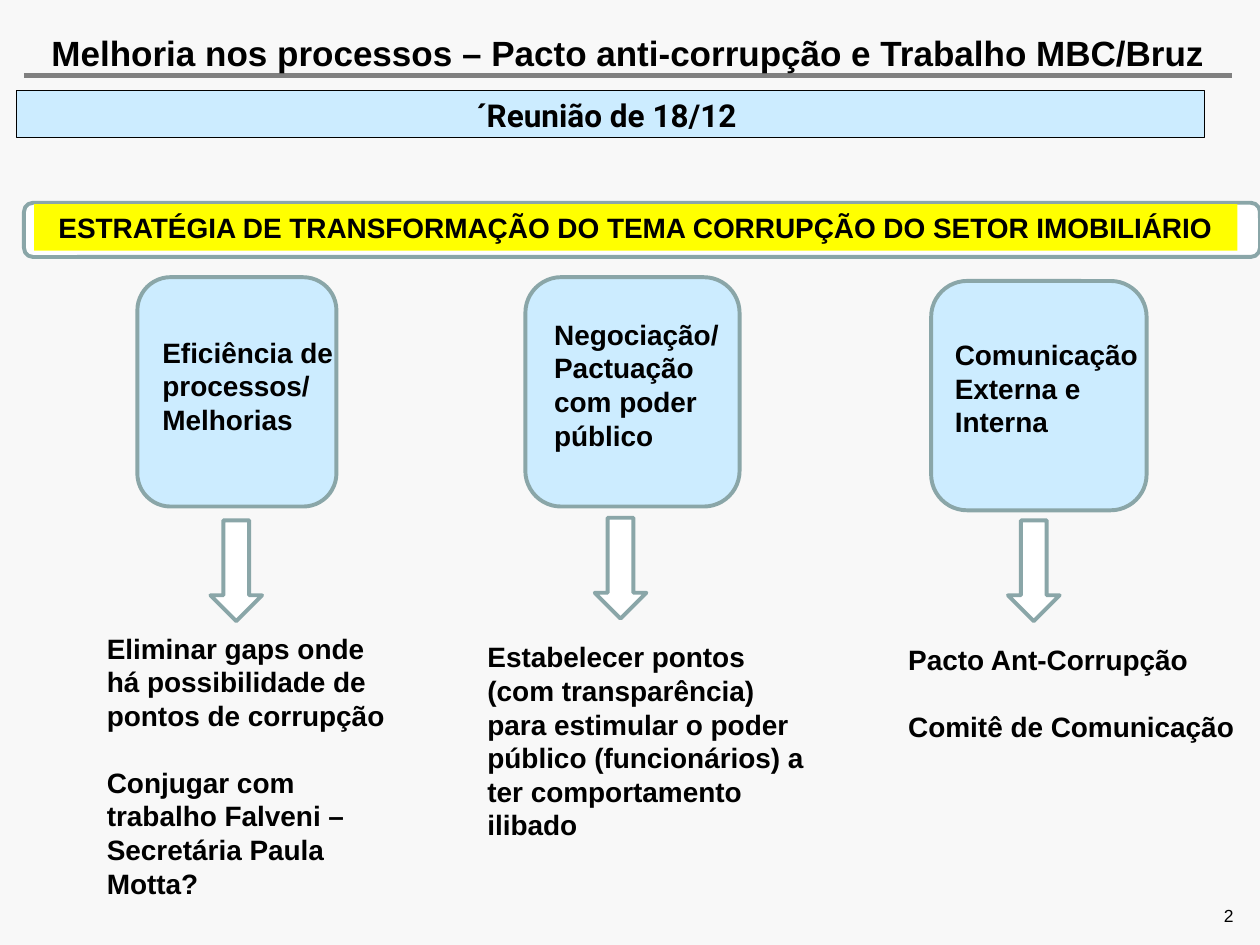
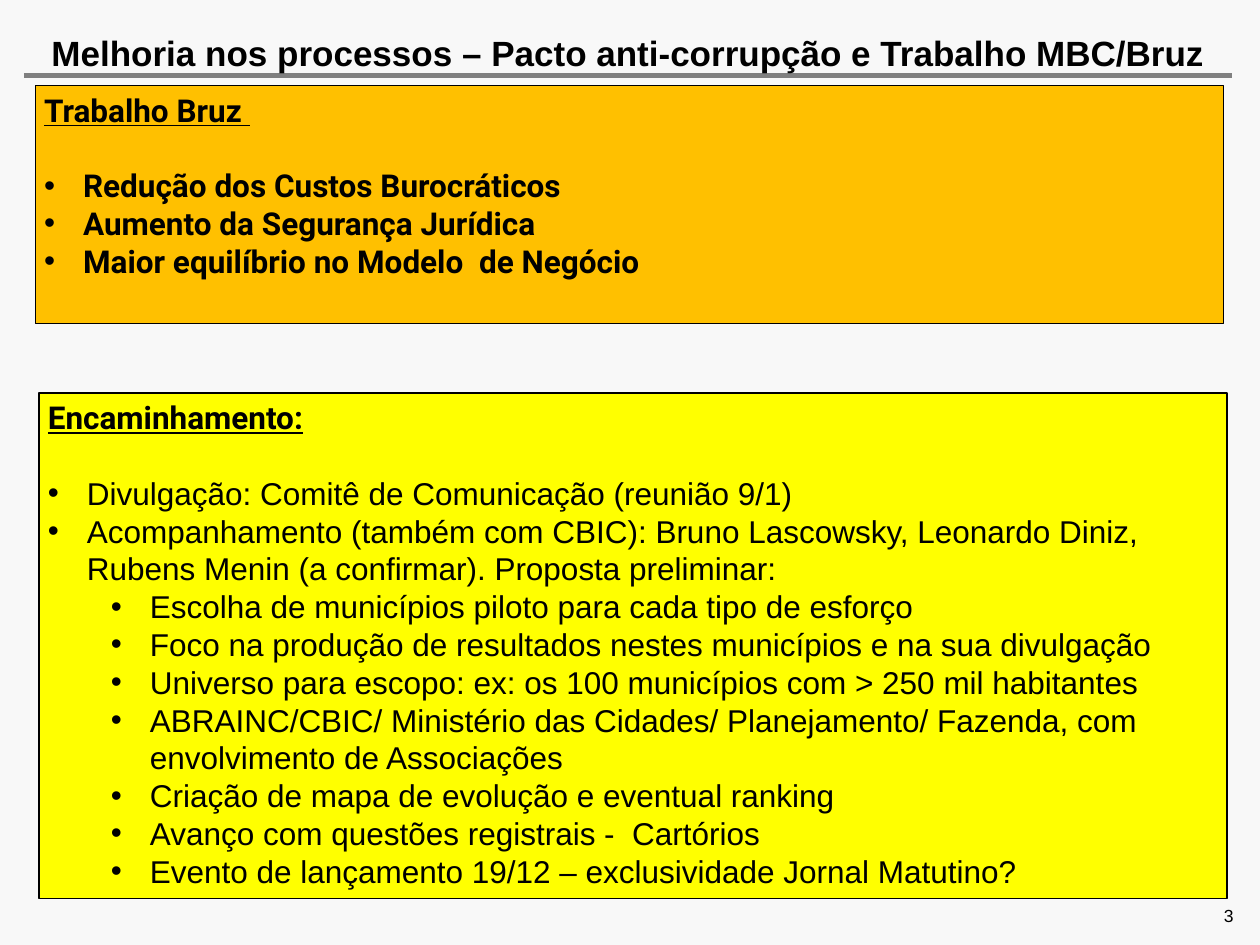
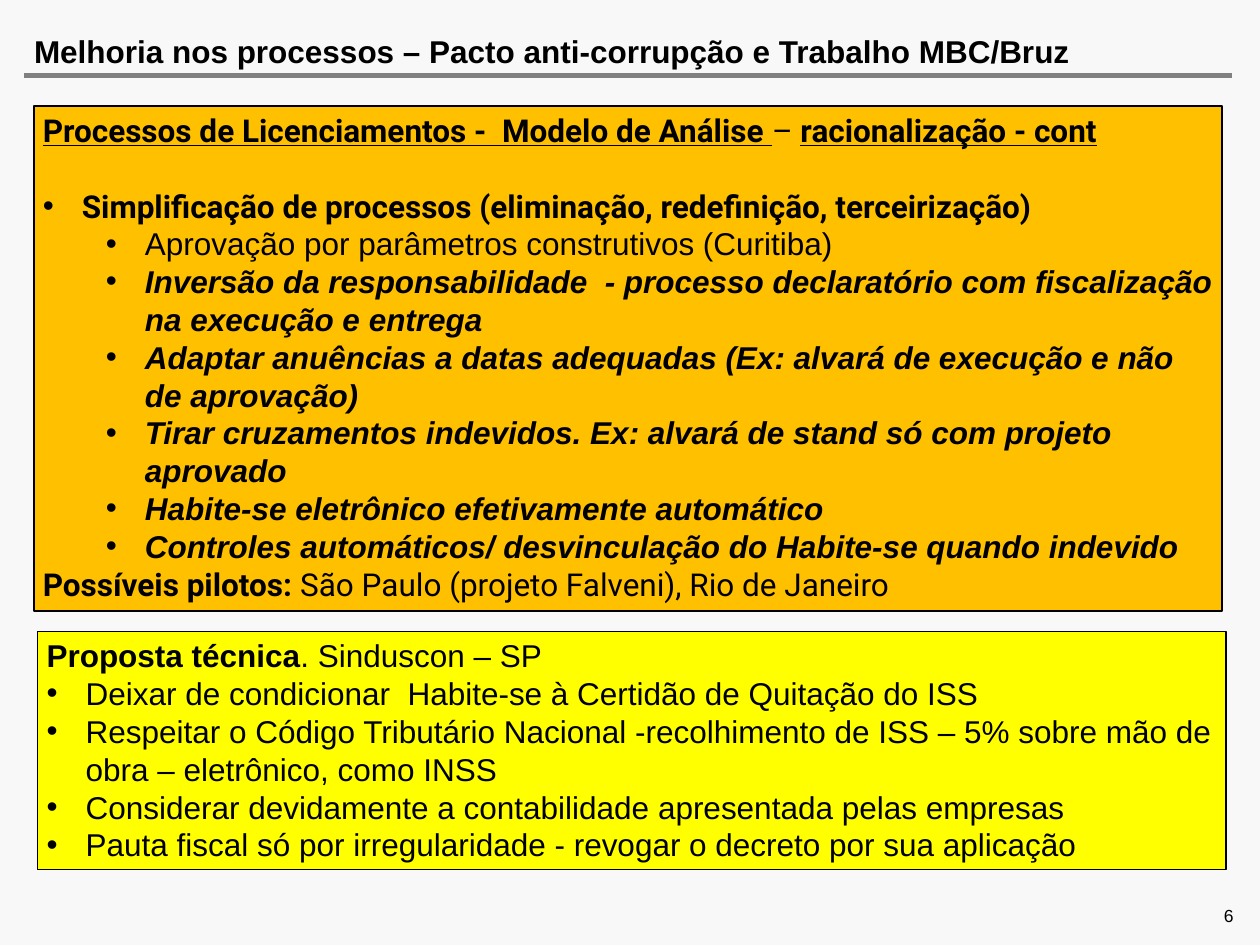
from dataclasses import dataclass

from lxml import etree
from pptx import Presentation
from pptx import util as u
from pptx.dml import color
from pptx.enum import shapes, text
from pptx.oxml import ns

COLORS = {
    "page": "F8F8F8", "ink": "000000", "rule": "808080", "edge": "8AA6A8",
    "white": "FFFFFF", "sky": "CCECFF", "yellow": "FFFF00", "orange": "FFC000",
}
SHAPE = shapes.MSO_SHAPE
ALIGN = text.PP_ALIGN
TITLE = "Melhoria nos processos – Pacto anti-corrupção e Trabalho MBC/Bruz "
PANEL_WIDTH = 9.43
PANEL_INSETS = (0.07, 0.04)
TEXT_INSETS = (0.1, 0.05)
BULLET_HANG = 0.31
LEVEL_STEP = 0.5


@dataclass(frozen=True)
class Span:
    text: str
    bold: bool = False
    italic: bool = False
    underline: bool = False
    name: str = "Arial"


@dataclass(frozen=True)
class Para:
    spans: tuple[Span, ...]
    level: int = 0
    gap: float = 0


@dataclass(frozen=True)
class Style:
    size: float
    align: ALIGN = ALIGN.LEFT
    anchor: text.MSO_ANCHOR = text.MSO_ANCHOR.TOP
    insets: tuple[float, float] = (0, 0)


@dataclass(frozen=True)
class Frame:
    left: float
    top: float
    width: float
    height: float

    def lengths(self) -> tuple[u.Length, ...]:
        return tuple(u.Inches(v) for v in (self.left, self.top, self.width, self.height))


@dataclass(frozen=True)
class Pillar:
    card: Frame
    label: Frame
    heading: str
    arrow: tuple[float, float]
    detail: Frame
    actions: tuple[str, ...]


@dataclass(frozen=True)
class Panel:
    left: float
    top: float
    height: float
    fill: str
    paras: tuple[Para, ...]


LABEL = Style(16, insets=TEXT_INSETS)
PANEL = Style(18, insets=PANEL_INSETS)
BANNER = Style(18, ALIGN.CENTER, insets=PANEL_INSETS)
STRIP = Style(16, ALIGN.CENTER, insets=TEXT_INSETS)
NUMBER = Style(10, ALIGN.RIGHT, text.MSO_ANCHOR.BOTTOM)


def rgb(key: str) -> color.RGBColor:
    return color.RGBColor.from_string(COLORS[key])


def plain(words: str, level: int = 0, gap: float = 0, **formats) -> Para:
    return Para((Span(words, **formats),), level, gap)


def heading(words: str) -> Para:
    return plain(words, bold=True, underline=True, name="Roboto")


def bullets(level: int, *lines: str, gap: float = 0, **formats) -> tuple[Para, ...]:
    return tuple(plain(line, level, 0 if i else gap, **formats) for i, line in enumerate(lines))


def write(box, paras: tuple[Para, ...], style: Style) -> None:
    frame = box.text_frame
    across, down = (u.Inches(v) for v in style.insets)
    layout = {
        "word_wrap": True, "vertical_anchor": style.anchor,
        "margin_left": across, "margin_right": across,
        "margin_top": down, "margin_bottom": down,
    }
    for key, value in layout.items():
        setattr(frame, key, value)
    for i, item in enumerate(paras):
        para = frame.add_paragraph() if i else frame.paragraphs[0]
        para.alignment = style.align
        if item.level:
            props = para._p.get_or_add_pPr()
            indent = BULLET_HANG + LEVEL_STEP * (item.level - 1)
            props.set("marL", str(u.Inches(indent)))
            props.set("indent", str(-u.Inches(BULLET_HANG)))
            etree.SubElement(props, ns.qn("a:buFont")).set("typeface", "Arial")
            etree.SubElement(props, ns.qn("a:buChar")).set("char", "•")
        if item.gap:
            para.space_before = u.Pt(item.gap)
        for part in item.spans:
            span = para.add_run()
            span.text = part.text
            span.font.size = u.Pt(style.size)
            span.font.color.rgb = rgb("ink")
            for key in ("name", "bold", "italic", "underline"):
                setattr(span.font, key, getattr(part, key))


def add_text(page, frame: Frame, paras: tuple[Para, ...], style: Style) -> None:
    write(page.shapes.add_textbox(*frame.lengths()), paras, style)


def add_box(page, kind: SHAPE, frame: Frame, fill: str, line: str = "", weight: float = 2.25):
    box = page.shapes.add_shape(kind, *frame.lengths())
    box.shadow.inherit = False
    box.fill.solid()
    box.fill.fore_color.rgb = rgb(fill)
    if line:
        box.line.color.rgb = rgb(line)
        box.line.width = u.Pt(weight)
    else:
        box.line.fill.background()
    return box


def add_panel(page, panel: Panel, style: Style = PANEL) -> None:
    frame = Frame(panel.left, panel.top, PANEL_WIDTH, panel.height)
    write(add_box(page, SHAPE.RECTANGLE, frame, panel.fill, "ink", 0.75), panel.paras, style)


def add_page(deck, number: int, title_style: Style):
    page = deck.slides.add_slide(deck.slide_layouts[6])
    page.background.fill.solid()
    page.background.fill.fore_color.rgb = rgb("page")
    ends = (u.Inches(v) for v in (0.19, 0.6, 9.78, 0.6))
    rule = page.shapes.add_connector(shapes.MSO_CONNECTOR.STRAIGHT, *ends)
    rule.line.color.rgb = rgb("rule")
    rule.line.width = u.Pt(3.2)
    etree.SubElement(rule._element.spPr, ns.qn("a:effectLst"))
    add_text(page, Frame(0.27, 0.25, 9.51, 0.35), (plain(TITLE, bold=True),), title_style)
    add_text(page, Frame(7.45, 7.18, 2.34, 0.17), (plain(str(number)),), NUMBER)
    return page


PILLARS = (
    Pillar(Frame(1.09, 2.2, 1.58, 1.82), Frame(1.19, 2.61, 1.62, 0.91),
           "Eficiência de processos/ Melhorias", (1.67, 4.13), Frame(0.75, 4.96, 2.56, 2.26),
           ("Eliminar gaps onde há possibilidade de pontos de corrupção",
            "Conjugar com trabalho Falveni – Secretária Paula Motta?")),
    Pillar(Frame(4.17, 2.2, 1.7, 1.82), Frame(4.3, 2.47, 1.57, 1.18),
           "Negociação/ Pactuação com poder público", (4.72, 4.11), Frame(3.77, 5.03, 2.79, 1.72),
           ("Estabelecer pontos (com transparência) para estimular o poder público "
            "(funcionários) a ter comportamento ilibado",)),
    Pillar(Frame(7.39, 2.23, 1.71, 1.82), Frame(7.48, 2.63, 1.67, 0.91),
           "Comunicação Externa e Interna", (8, 4.13), Frame(7.11, 5.05, 2.79, 0.91),
           ("Pacto Ant-Corrupção", "Comitê de Comunicação")),
)

BOOST_PANELS = (
    Panel(0.28, 0.68, 1.89, "orange", (
        heading("Trabalho Bruz "),
        *bullets(1, "Redução dos Custos Burocráticos",
                 "Aumento da Segurança Jurídica",
                 "Maior equilíbrio no Modelo  de Negócio",
                 gap=21.6, bold=True, name="Roboto"),
    )),
    Panel(0.31, 3.12, 4.01, "yellow", (
        heading("Encaminhamento:"),
        *bullets(1, "Divulgação: Comitê de Comunicação (reunião 9/1)",
                 "Acompanhamento (também com CBIC): Bruno Lascowsky, Leonardo Diniz, "
                 "Rubens Menin (a confirmar). Proposta preliminar:", gap=21.6),
        *bullets(2, "Escolha de municípios piloto para cada tipo de esforço",
                 "Foco na produção de resultados nestes municípios e na sua divulgação",
                 "Universo para escopo: ex: os 100 municípios com > 250 mil habitantes",
                 "ABRAINC/CBIC/ Ministério das Cidades/ Planejamento/ Fazenda, "
                 "com envolvimento de Associações",
                 "Criação de mapa de evolução e eventual ranking",
                 "Avanço com questões registrais -  Cartórios",
                 "Evento de lançamento 19/12 – exclusividade Jornal Matutino?"),
    )),
)

LICENSING_PANELS = (
    Panel(0.27, 0.84, 4.01, "orange", (
        Para((Span("Processos de Licenciamentos -  Modelo de Análise ", True, False, True, "Roboto"),
              Span("– ", name="Roboto"),
              Span("racionalização - cont", True, False, True, "Roboto"))),
        plain("Simplificação de processos (eliminação, redefinição, terceirização)",
              1, 21.6, bold=True, name="Roboto"),
        plain("Aprovação por parâmetros construtivos (Curitiba)", 2),
        *bullets(2, "Inversão da responsabilidade  - processo declaratório com fiscalização "
                 "na execução e entrega",
                 "Adaptar anuências a datas adequadas (Ex: alvará de execução e não de aprovação)",
                 "Tirar cruzamentos indevidos. Ex: alvará de stand só com projeto aprovado",
                 "Habite-se eletrônico efetivamente automático",
                 "Controles automáticos/ desvinculação do Habite-se quando indevido",
                 bold=True, italic=True),
        Para((Span("Possíveis pilotos: ", bold=True, name="Roboto"),
              Span("São Paulo (projeto Falveni), Rio de Janeiro", name="Roboto"))),
    )),
    Panel(0.3, 5.01, 1.89, "yellow", (
        Para((Span("Proposta técnica", bold=True), Span(". Sinduscon – SP"))),
        *bullets(1, "Deixar de condicionar  Habite-se à Certidão de Quitação do ISS",
                 "Respeitar o Código Tributário Nacional -recolhimento de ISS – 5% sobre "
                 "mão de obra – eletrônico, como INSS",
                 "Considerar devidamente a contabilidade apresentada pelas empresas",
                 "Pauta fiscal só por irregularidade - revogar o decreto por sua aplicação"),
    )),
)


def draw_strategy(page) -> None:
    add_box(page, SHAPE.ROUNDED_RECTANGLE, Frame(0.19, 1.61, 9.81, 0.43), "white", "edge")
    strip = add_box(page, SHAPE.RECTANGLE, Frame(0.27, 1.62, 9.55, 0.37), "yellow")
    theme = "ESTRATÉGIA DE TRANSFORMAÇÃO DO TEMA CORRUPÇÃO DO SETOR IMOBILIÁRIO"
    write(strip, (plain(theme, bold=True),), STRIP)
    for pillar in PILLARS:
        add_box(page, SHAPE.ROUNDED_RECTANGLE, pillar.card, "sky", "edge")
        add_text(page, pillar.label, (plain(pillar.heading, bold=True),), LABEL)
        add_box(page, SHAPE.DOWN_ARROW, Frame(*pillar.arrow, 0.41, 0.8), "white", "edge")
        add_text(page, pillar.detail, bullets(0, pillar.actions[0], bold=True)
                 + bullets(0, *pillar.actions[1:], gap=19.2, bold=True), LABEL)
    meeting = plain("´Reunião de 18/12 ", bold=True, name="Roboto")
    add_panel(page, Panel(0.13, 0.72, 0.37, "sky", (meeting,)), BANNER)


def main() -> None:
    deck = Presentation()
    deck.slide_width, deck.slide_height = u.Inches(10), u.Inches(7.5)
    centered = Style(20, ALIGN.CENTER)
    draw_strategy(add_page(deck, 2, centered))
    for number, style, panels in ((3, centered, BOOST_PANELS), (6, Style(18), LICENSING_PANELS)):
        page = add_page(deck, number, style)
        for panel in panels:
            add_panel(page, panel)
    deck.save("out.pptx")


if __name__ == "__main__":
    main()
